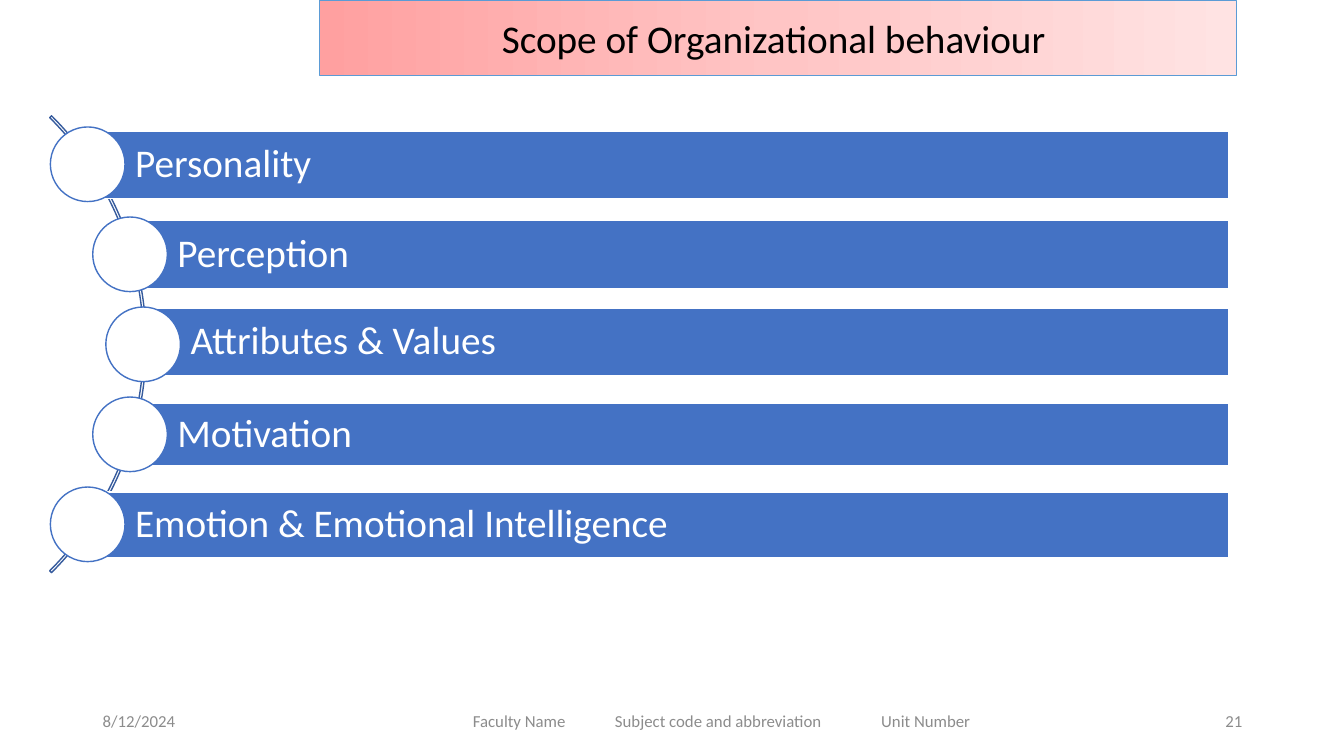
from copy import deepcopy

from lxml import etree
from pptx import Presentation
from pptx.dml.color import RGBColor
from pptx.enum import shapes, text
from pptx.oxml import ns
from pptx.util import Inches, Pt

COLORS = {
    "white": "FFFFFF", "black": "000000", "grey": "8C8C8C",
    "bar": "4472C4", "arc": "365B9D", "title_line": "5B9BD5",
    "pink_dark": "FFA0A0", "pink_mid": "FFC5C5", "pink_light": "FFE3E3",
}
SHAPE = shapes.MSO_SHAPE
ALIGN = text.PP_ALIGN


def add_outlined(kind, box, line, width, fill=None):
    shape = slide.shapes.add_shape(kind, *map(Inches, box))
    shape.shadow.inherit = False
    shape.line.color.rgb = RGBColor.from_string(COLORS[line])
    shape.line.width = Pt(width)
    if fill:
        shape.fill.solid()
        shape.fill.fore_color.rgb = RGBColor.from_string(COLORS[fill])
    else:
        shape.fill.background()
    return shape


def write(shape, words, size, color, align=ALIGN.LEFT):
    frame = shape.text_frame
    frame.word_wrap = True
    frame.vertical_anchor = text.MSO_ANCHOR.MIDDLE
    frame.text = words
    paragraph = frame.paragraphs[0]
    paragraph.alignment = align
    for run in paragraph.runs:
        run.font.name = "Calibri"
        run.font.size = Pt(size)
        run.font.color.rgb = RGBColor.from_string(COLORS[color])
    return paragraph


prs = Presentation()
prs.slide_width, prs.slide_height = Inches(13.33), Inches(7.5)
slide = prs.slides.add_slide(prs.slide_layouts[6])

# Title banner with a three-stop gradient
banner = add_outlined(SHAPE.RECTANGLE, (3.17, 0, 9.09, 0.75), "title_line", 0.5)
banner.fill.gradient()
banner.fill.gradient_angle = 0
first_stop = banner.element.spPr.find(".//" + ns.qn("a:gs"))
first_stop.addnext(deepcopy(first_stop))
pinks = ("pink_dark", "pink_mid", "pink_light")
for i, (stop, pink) in enumerate(zip(banner.fill.gradient_stops, pinks)):
    stop.position = i / 2
    stop.color.rgb = RGBColor.from_string(COLORS[pink])
write(banner, "Scope of Organizational behaviour ", 28, "black", ALIGN.CENTER)

# Arc behind the topics
arc = add_outlined(SHAPE.BLOCK_ARC, (-4.96, 0.21, 6.41, 6.41), "arc", 1)
for i, value in enumerate((189, 27, 0.004)):
    arc.adjustments[i] = value

# Topics: label, circle centre, bar top, bar height
topics = [
    ("Personality", 0.87, 1.3, 0.67),
    ("Perception", 1.29, 2.19, 0.67),
    ("Attributes & Values", 1.42, 3.06, 0.67),
    ("Motivation", 1.29, 4, 0.62),
    ("Emotion & Emotional Intelligence", 0.87, 4.88, 0.65),
]
BAR_RIGHT, CIRCLE, FIRST_CIRCLE_TOP, CIRCLE_STEP = 12.19, 0.74, 1.26, 0.893
for i, (label, center, top, height) in enumerate(topics):
    bar = add_outlined(SHAPE.RECTANGLE, (center, top, BAR_RIGHT - center, height),
                       "white", 1, "bar")
    bar.text_frame.margin_left = Inches(0.47)
    bar.text_frame.margin_top = bar.text_frame.margin_bottom = Inches(0.08)
    write(bar, label, 28, "white").line_spacing = 0.9
    circle_top = FIRST_CIRCLE_TOP + i * CIRCLE_STEP
    add_outlined(SHAPE.OVAL, (center - CIRCLE / 2, circle_top, CIRCLE, CIRCLE),
                 "bar", 1, "white")

# Footer: date, course details, page number
footers = [
    ("8/12/2024", 0.92, 3, ALIGN.LEFT),
    ("Faculty Name\tSubject code and abbreviation\tUnit Number", 4.42, 5.5, ALIGN.LEFT),
    ("21", 9.42, 3, ALIGN.RIGHT),
]
for words, left, width, align in footers:
    footer = slide.shapes.add_textbox(Inches(left), Inches(6.95), Inches(width), Inches(0.4))
    paragraph = write(footer, words, 12, "grey", align)
    if "\t" in words:
        footer.text_frame.margin_left = Inches(0.27)
        tabs = etree.SubElement(paragraph._p.get_or_add_pPr(), ns.qn("a:tabLst"))
        for position in (1.41, 4.05):
            etree.SubElement(tabs, ns.qn("a:tab"), pos=str(Inches(position)), algn="l")

prs.save("out.pptx")
